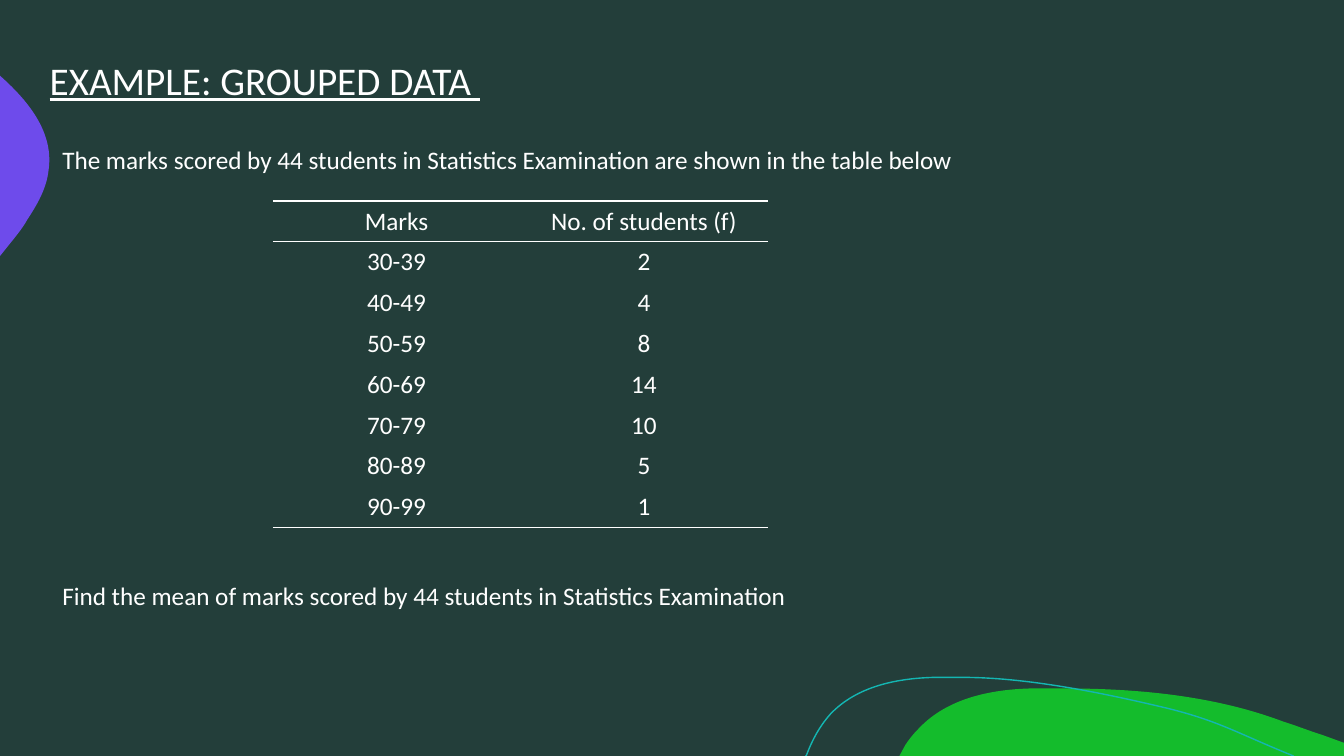
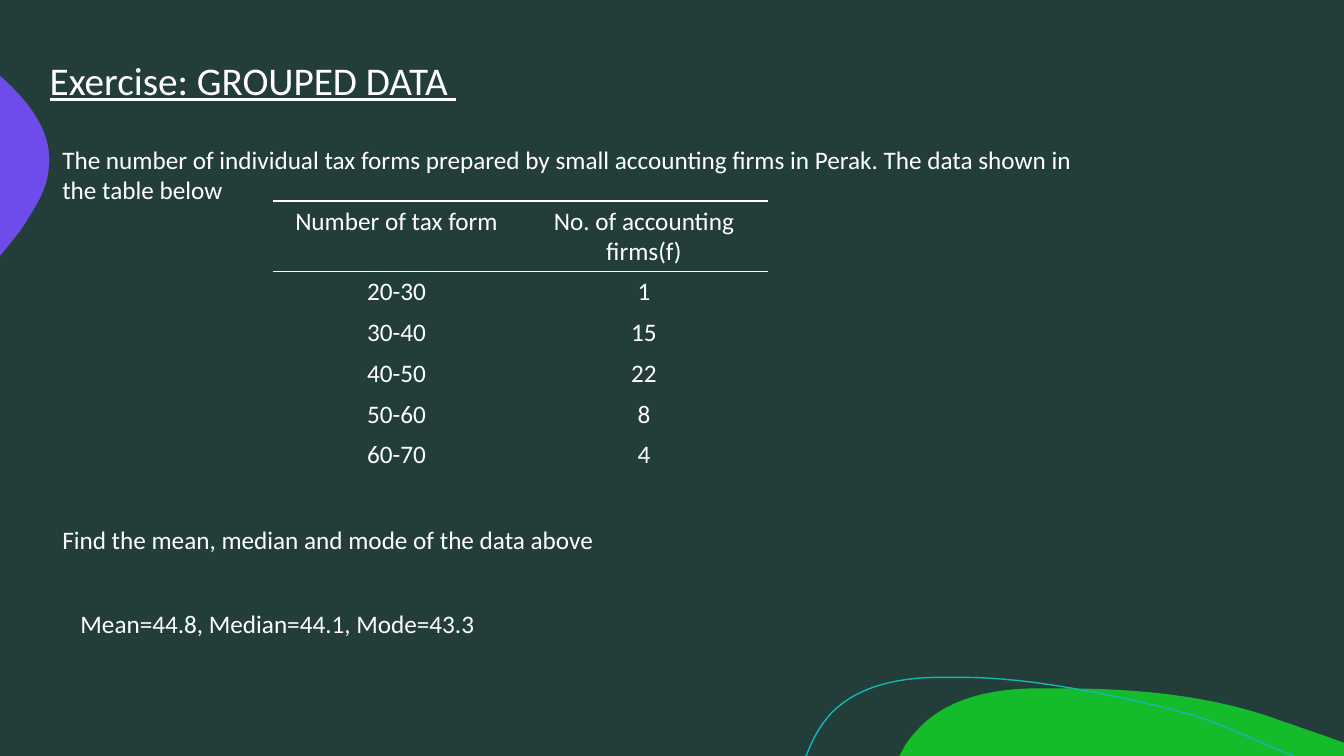
"""Build two slides on grouped data, each with a frequency table and a question."""
from dataclasses import dataclass
from typing import Optional

from lxml.etree import SubElement
from pptx import Presentation
from pptx.dml.color import RGBColor
from pptx.enum.text import MSO_AUTO_SIZE as AutoSize, PP_ALIGN as Align
from pptx.oxml.ns import qn
from pptx.util import Inches, Pt

SLIDE_W, SLIDE_H = Inches(13.33), Inches(7.5)
GROUND, INK, GREEN, VIOLET, TEAL = "233E3A", "FFFFFF", "14BC2C", "6E4BEB", "14B6B2"
NO_STYLE_NO_GRID = "{2D5ABB26-0587-4C30-8999-92F81FD0307C}"
BODY = {"name": "Calibri", "size": Pt(18)}
TITLE = {**BODY, "size": Pt(28), "underline": True}
TEXT_LEFT, ANSWER_LEFT, LINE_HEIGHT = 3.9, 5.25, 5.33
TABLE_LEFT, TABLE_TOP, COLUMN, ROW = 20.3, 26.6, 18.41, 5.4

Point = tuple[float, float]


@dataclass(frozen=True)
class Outline:
    start: Point
    segments: tuple[tuple[Point, ...], ...]
    fill: Optional[str] = None
    line: Optional[str] = None


@dataclass(frozen=True)
class Exercise:
    title: str
    intro: str
    intro_lines: int
    rows: tuple[tuple[str, str], ...]
    question: str
    question_top: float
    closing_rule: bool = False
    answer: str = ""
    answer_top: float = 0


OUTLINES = (
    Outline((10.54, 6.83), (
        ((11.28, 6.83), (12.04, 6.9), (12.73, 7.16)),
        ((12.86, 7.2), (12.98, 7.25), (13.11, 7.29)),
        ((13.33, 7.37),), ((13.33, 7.5),), ((8.92, 7.5),), ((8.98, 7.39),),
        ((9.02, 7.33), (9.06, 7.28), (9.11, 7.23)),
        ((9.39, 6.93), (9.82, 6.84), (10.23, 6.83)),
        ((10.33, 6.83), (10.43, 6.83), (10.54, 6.83)),
    ), fill=GREEN),
    Outline((0, 0.75), (
        ((0.01, 0.76),),
        ((0.3, 1.02), (0.54, 1.33), (0.48, 1.7)),
        ((0.46, 1.87), (0.37, 2.03), (0.27, 2.18)),
        ((0.24, 2.24), (0.17, 2.33), (0.08, 2.44)),
        ((0, 2.54),),
    ), fill=VIOLET),
    Outline((7.99, 7.5), (
        ((8, 7.49),),
        ((8.06, 7.33), (8.14, 7.19), (8.24, 7.08)),
        ((8.5, 6.81), (8.89, 6.73), (9.26, 6.72)),
        ((9.55, 6.72),),
        ((10.22, 6.72), (11, 6.89), (11.55, 7.02)),
        ((12.09, 7.15), (12.26, 7.27), (12.83, 7.5)),
    ), line=TEAL),
)

EXERCISES = (
    Exercise(
        "EXAMPLE: GROUPED DATA ",
        "The marks scored by 44 students in Statistics Examination are shown in the table below", 1,
        (("Marks", "No. of students (f)"), ("30-39", "2"), ("40-49", "4"), ("50-59", "8"),
         ("60-69", "14"), ("70-79", "10"), ("80-89", "5"), ("90-99", "1")),
        "Find the mean of marks scored by 44 students in Statistics Examination", 76.07,
        closing_rule=True,
    ),
    Exercise(
        "Exercise: GROUPED DATA ",
        "The number of individual tax forms prepared by small accounting firms in Perak. "
        "The data shown in the table below", 2,
        (("Number of tax form", "No. of accounting firms(f)"), ("20-30", "1"), ("30-40", "15"),
         ("40-50", "22"), ("50-60", "8"), ("60-70", "4")),
        "Find the mean, median and mode of the data above", 68.67,
        answer="Mean=44.8, Median=44.1, Mode=43.3", answer_top=79.87,
    ),
)


def colour(value: str) -> RGBColor:
    return RGBColor.from_string(value)


def across(percent: float) -> int:
    return round(SLIDE_W * percent / 100)


def down(percent: float) -> int:
    return round(SLIDE_H * percent / 100)


def set_font(font, style: dict) -> None:
    for attribute, value in style.items():
        setattr(font, attribute, value)
    font.color.rgb = colour(INK)


def bend(blob, outline: Outline) -> None:
    strokes = list(blob.element.iter(qn("a:lnTo")))
    for stroke, segment in zip(strokes, outline.segments):
        if len(segment) == 3:
            curve = SubElement(stroke.getparent(), qn("a:cubicBezTo"))
            for x, y in segment:
                SubElement(curve, qn("a:pt"), x=str(Inches(x) - blob.left),
                           y=str(Inches(y) - blob.top))
            stroke.getparent().replace(stroke, curve)


def draw_outline(slide, outline: Outline):
    x, y = outline.start
    builder = slide.shapes.build_freeform(Inches(x), Inches(y))
    corners = [tuple(map(Inches, segment[-1])) for segment in outline.segments]
    builder.add_line_segments(corners, close=outline.fill is not None)
    blob = builder.convert_to_shape()
    bend(blob, outline)
    blob.shadow.inherit = False
    for fill, value in ((blob.fill, outline.fill), (blob.line.fill, outline.line)):
        if value:
            fill.solid()
            fill.fore_color.rgb = colour(value)
        else:
            fill.background()
    if outline.line:
        blob.line.width = Pt(1)
    return blob


def decorate(layout, slide) -> None:
    backdrop = layout.shapes.element
    for placeholder in list(layout.placeholders):
        backdrop.remove(placeholder.element)
    for blob in [draw_outline(slide, outline) for outline in OUTLINES]:
        backdrop.append(blob.element)


def draw_text(slide, text: str, left: float, top: float, width: float, height: float,
              style: dict) -> None:
    frame = slide.shapes.add_textbox(
        across(left), down(top), across(width), down(height)).text_frame
    frame.word_wrap = True
    frame.auto_size = AutoSize.SHAPE_TO_FIT_TEXT
    run = frame.paragraphs[0].add_run()
    run.text = text
    set_font(run.font, style)


def rule_cell(cell, ruled: str) -> None:
    properties = cell._tc.get_or_add_tcPr()
    for index, side in enumerate("LRTB"):
        border = SubElement(properties, qn(f"a:ln{side}"), w=str(Pt(1)))
        if side in ruled:
            SubElement(SubElement(border, qn("a:solidFill")), qn("a:srgbClr"), val=INK)
        else:
            SubElement(border, qn("a:noFill"))
        properties.insert(index, border)


def draw_table(slide, exercise: Exercise) -> None:
    rows = exercise.rows
    holder = slide.shapes.add_table(
        len(rows), len(rows[0]), across(TABLE_LEFT), down(TABLE_TOP),
        across(COLUMN * len(rows[0])), down(ROW * len(rows)))
    for style_id in holder.element.iter(qn("a:tableStyleId")):
        style_id.text = NO_STYLE_NO_GRID
    table = holder.table
    table.first_row = table.horz_banding = False
    for r, values in enumerate(rows):
        closes = r == 0 or exercise.closing_rule and r == len(rows) - 1
        ruled = "T" * (r < 2) + "B" * closes
        for c, value in enumerate(values):
            cell = table.cell(r, c)
            cell.fill.background()
            rule_cell(cell, ruled)
            paragraph = cell.text_frame.paragraphs[0]
            paragraph.alignment = Align.CENTER
            run = paragraph.add_run()
            run.text = value
            set_font(run.font, BODY)


def draw_exercise(slide, exercise: Exercise) -> None:
    draw_text(slide, exercise.title, 2.96, 6.8, 94.07, 11.73, TITLE)
    draw_text(slide, exercise.intro, TEXT_LEFT, 18.4, 77.27,
              LINE_HEIGHT * exercise.intro_lines, BODY)
    draw_text(slide, exercise.question, TEXT_LEFT, exercise.question_top, 66.92, LINE_HEIGHT, BODY)
    draw_table(slide, exercise)
    if exercise.answer:
        draw_text(slide, exercise.answer, ANSWER_LEFT, exercise.answer_top, 66.92,
                  LINE_HEIGHT, BODY)


def main() -> None:
    deck = Presentation()
    deck.slide_width, deck.slide_height = SLIDE_W, SLIDE_H
    ground = deck.slide_master.background.fill
    ground.solid()
    ground.fore_color.rgb = colour(GROUND)
    blank = deck.slide_layouts[6]
    slides = [deck.slides.add_slide(blank) for _ in EXERCISES]
    decorate(blank, slides[0])
    for slide, exercise in zip(slides, EXERCISES):
        draw_exercise(slide, exercise)
    deck.save("out.pptx")


if __name__ == "__main__":
    main()
